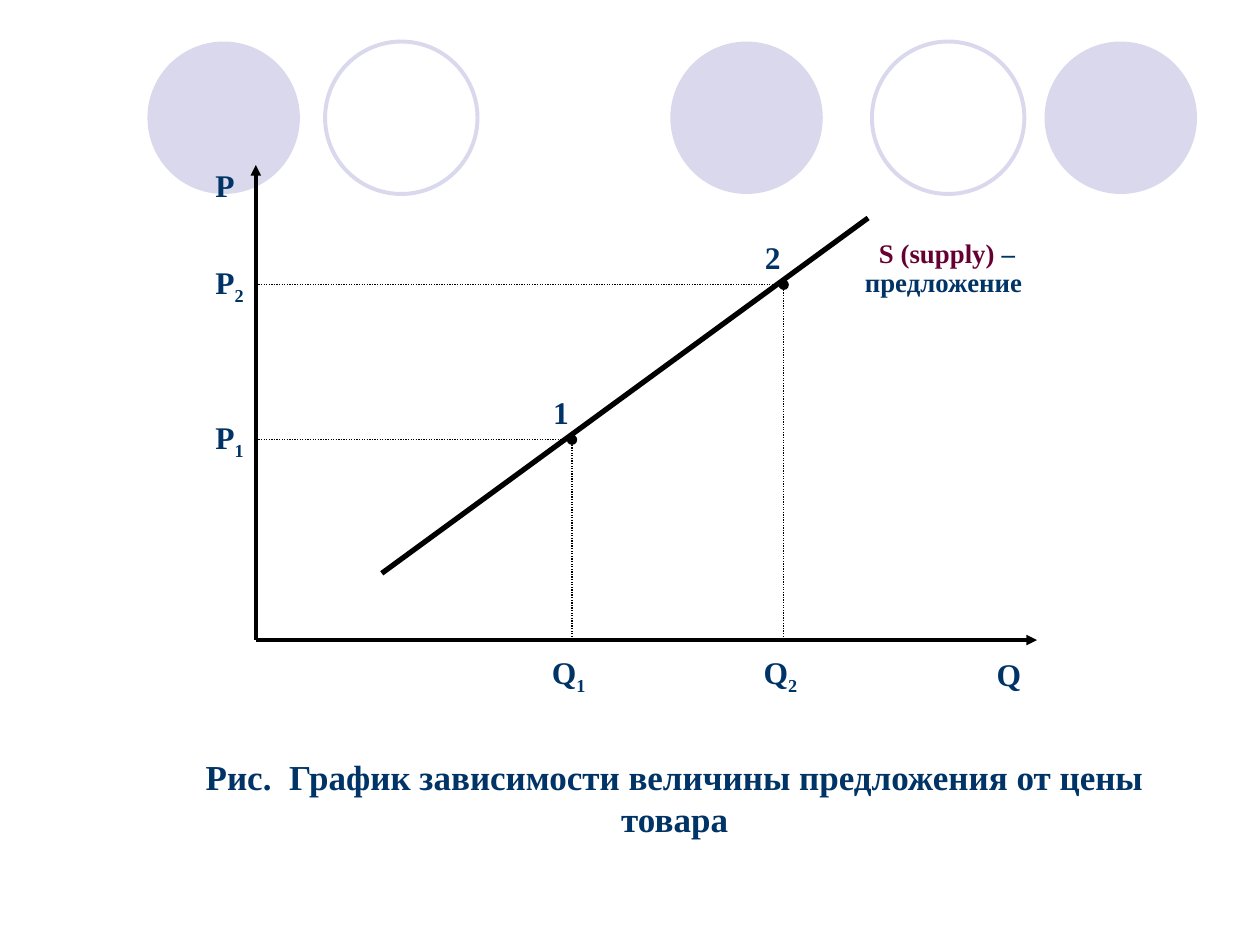
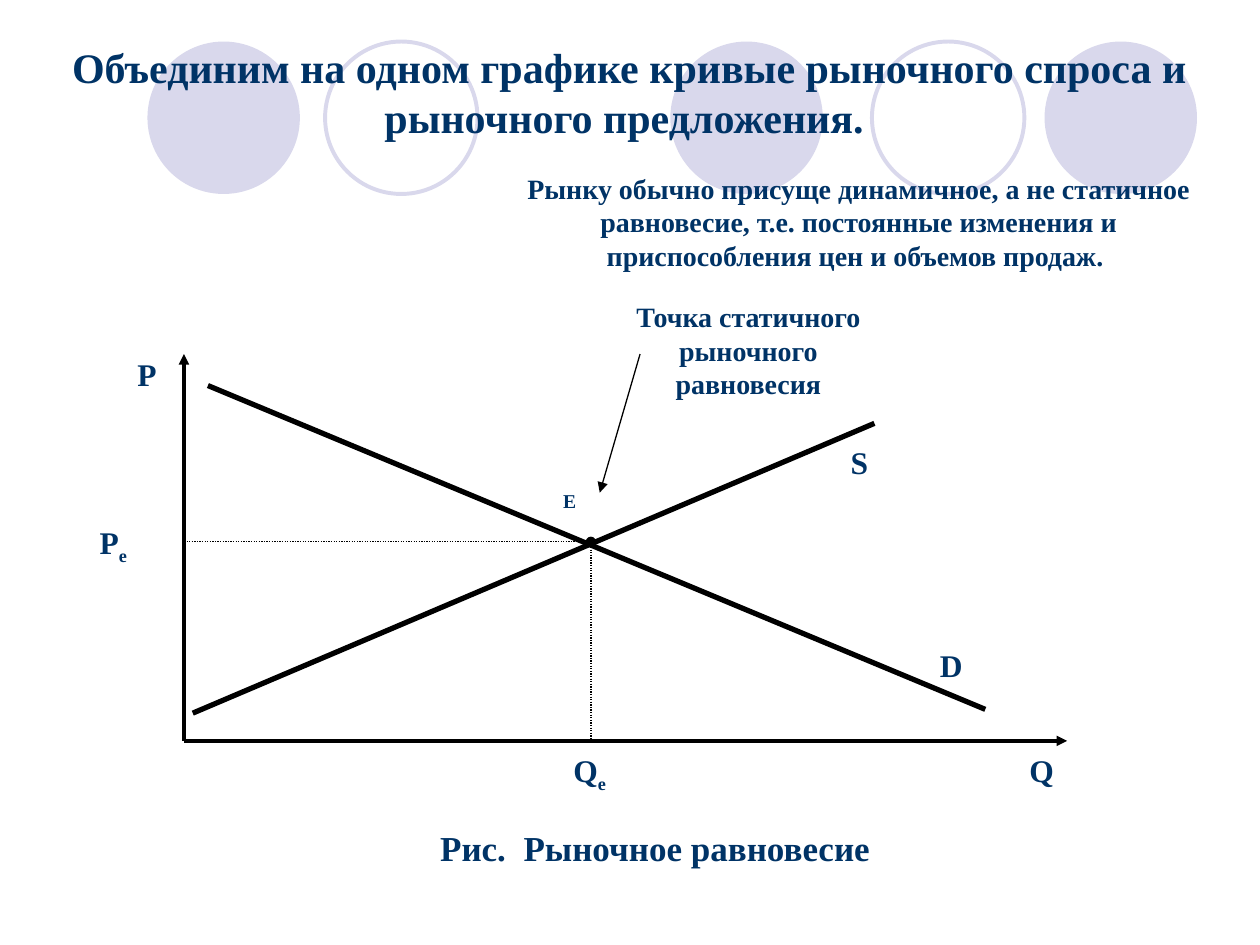
from dataclasses import dataclass

from lxml.etree import SubElement
from pptx import Presentation
from pptx.dml.color import RGBColor
from pptx.enum.dml import MSO_LINE_DASH_STYLE as DASH
from pptx.enum.shapes import MSO_CONNECTOR, MSO_SHAPE
from pptx.enum.text import PP_ALIGN
from pptx.oxml.ns import qn
from pptx.util import Inches, Pt


@dataclass(frozen=True)
class Theme:
    """Colours, font and sizes shared by the slides."""
    font: str = "Times New Roman"
    navy: str = "003366"
    wine: str = "660033"
    black: str = "000000"
    lilac: str = "D9D8EC"
    title: float = 24
    caption: float = 20
    label: float = 18
    note: float = 16
    curve_name: float = 15.3
    point_name: float = 11.2
    ring: float = 2.25
    curve: float = 3
    axis: float = 2
    thin: float = 0.75


T = Theme()


@dataclass(frozen=True)
class Box:
    """A region in inches."""
    x: float
    y: float
    w: float
    h: float


def add_text(s, box, runs, size, margins=(0.1, 0.05), align=PP_ALIGN.CENTER, spacing=None):
    """Add a text box from (text, colour, is subscript) runs."""
    tf = s.shapes.add_textbox(*map(Inches, (box.x, box.y, box.w, box.h))).text_frame
    tf.word_wrap = True
    tf.margin_left = tf.margin_right = Inches(margins[0])
    tf.margin_top = tf.margin_bottom = Inches(margins[1])
    p = tf.paragraphs[0]
    p.alignment = align
    if spacing:
        p.line_spacing = spacing
    for text, color, is_sub in runs:
        r = p.add_run()
        r.text = text
        r.font.name, r.font.size, r.font.bold = T.font, Pt(size), True
        r.font.color.rgb = RGBColor.from_string(color)
        if is_sub:
            r._r.get_or_add_rPr().set("baseline", "-25000")


def add_block(s, box, text, size):
    """Add a centred block of navy text."""
    add_text(s, box, [(text, T.navy, False)], size)


def add_label(s, plot, x, y, text, sub="", size=T.label, w=0.58, spacing=None):
    """Add a short label at a place inside the plot."""
    runs = [(text, T.navy, False)] + ([(sub, T.navy, True)] if sub else [])
    box = Box(plot.x + x, plot.y + y, w, 0.39)
    add_text(s, box, runs, size, (0.02, 0.01), PP_ALIGN.LEFT, spacing)


def add_line(s, plot, start, end, width, tip=None, dash=None):
    """Draw a line between two points of the plot."""
    ends = [Inches(v) for x, y in (start, end) for v in (plot.x + x, plot.y + y)]
    c = s.shapes.add_connector(MSO_CONNECTOR.STRAIGHT, *ends)
    c.line.color.rgb = RGBColor.from_string(T.black)
    c.line.width = Pt(width)
    if dash:
        c.line.dash_style = dash
    spPr = c._element.spPr
    if tip:
        SubElement(spPr.find(qn("a:ln")), qn("a:tailEnd"), type=tip)
    SubElement(spPr, qn("a:effectLst"))


def add_circles(s):
    """Draw the band of filled and outlined circles."""
    for x, filled in ((5.32, True), (8.29, True), (1.17, True), (6.92, False), (2.58, False)):
        sp = s.shapes.add_shape(MSO_SHAPE.OVAL, *map(Inches, (x, 0.33, 1.21, 1.21)))
        sp.shadow.inherit = False
        if filled:
            sp.fill.solid()
            sp.fill.fore_color.rgb = RGBColor.from_string(T.lilac)
            sp.line.fill.background()
        else:
            sp.fill.background()
            sp.line.color.rgb = RGBColor.from_string(T.lilac)
            sp.line.width = Pt(T.ring)


def add_axes(s, plot, price, price_x, quantity_at):
    """Draw the price and quantity axes with their names."""
    corner = (0, plot.h)
    add_line(s, plot, corner, (0, 0), T.axis, "triangle")
    add_line(s, plot, corner, (plot.w, plot.h), T.axis, "triangle")
    add_label(s, plot, price_x, 0, price)
    add_label(s, plot, *quantity_at, "Q")


def add_guides(s, plot, x, y):
    """Draw the dotted guides that meet at a marked point."""
    add_line(s, plot, (0, y), (x, y), T.thin, "oval", DASH.ROUND_DOT)
    add_line(s, plot, (x, y), (x, plot.h), T.thin, dash=DASH.ROUND_DOT)


def add_supply_plot(s, plot):
    """Draw the supply curve with two points."""
    add_axes(s, plot, "Р", -0.34, (5.86, 3.88))
    add_line(s, plot, (4.86, 0.42), (1, 3.24), T.curve)
    add_text(s, Box(plot.x + 4.69, plot.y + 0.59, 1.59, 0.53),
             [("S (supply) ", T.wine, False), ("– предложение ", T.navy, False)],
             T.curve_name, (0.02, 0.01), spacing=0.9)
    for name, x, y in (("1", 2.51, 2.18), ("2", 4.19, 0.95)):
        add_guides(s, plot, x, y)
        add_label(s, plot, -0.34, y - 0.18, "P", name)
        add_label(s, plot, x - 0.18, plot.h + 0.09, "Q", name)
        add_label(s, plot, x - 0.17, y - 0.38, name)


def add_equilibrium_plot(s, plot):
    """Draw supply and demand crossing at the equilibrium point."""
    x, y = 3.23, 1.49
    add_guides(s, plot, x, y)
    add_axes(s, plot, "P", -0.39, (6.69, 3.14))
    add_label(s, plot, -0.69, y - 0.16, "P", "e")
    add_label(s, plot, x - 0.16, 3.14, "Q", "e")
    add_label(s, plot, x - 0.24, y - 0.39, "E", size=T.point_name, spacing=0.8)
    for name, start, end, name_at in (("S", (0.07, 2.85), (5.48, 0.55), (5.27, 0.7)),
                                      ("D", (0.19, 0.25), (6.36, 2.82), (5.98, 2.31))):
        add_line(s, plot, start, end, T.curve)
        add_label(s, plot, *name_at, name)
    add_line(s, plot, (3.62, 0), (3.3, 1.1), T.thin, "triangle")
    add_block(s, Box(plot.x + 3.3, plot.y - 0.48, 2.36, 0.9),
              "Точка статичного рыночного равновесия", T.note)


def add_slide(prs):
    """Add a blank slide with the circle band."""
    s = prs.slides.add_slide(prs.slide_layouts[6])
    add_circles(s)
    return s


def add_supply_slide(prs):
    """Build the supply curve slide."""
    s = add_slide(prs)
    add_supply_plot(s, Box(2.03, 1.31, 6.2, 3.77))
    add_block(s, Box(1.14, 5.95, 8.43, 0.77),
              "Рис.  График зависимости величины предложения от цены товара", T.caption)


def add_equilibrium_slide(prs):
    """Build the market equilibrium slide."""
    s = add_slide(prs)
    add_equilibrium_plot(s, Box(1.46, 2.81, 7.01, 3.07))
    add_block(s, Box(1.06, 6.51, 8.35, 0.44), "Рис.  Рыночное равновесие ", T.caption)
    add_block(s, Box(0.43, 0.28, 9.13, 0.9),
              "Объединим на одном графике кривые рыночного спроса и "
              "рыночного предложения. ", T.title)
    add_block(s, Box(3.9, 1.31, 5.83, 0.9),
              "Рынку обычно присуще динамичное, а не статичное равновесие, т.е. "
              "постоянные изменения и приспособления цен и объемов продаж. ", T.note)


def main():
    """Build and save the presentation."""
    prs = Presentation()
    prs.slide_width, prs.slide_height = Inches(10), Inches(7.5)
    add_supply_slide(prs)
    add_equilibrium_slide(prs)
    prs.save("out.pptx")


if __name__ == "__main__":
    main()
